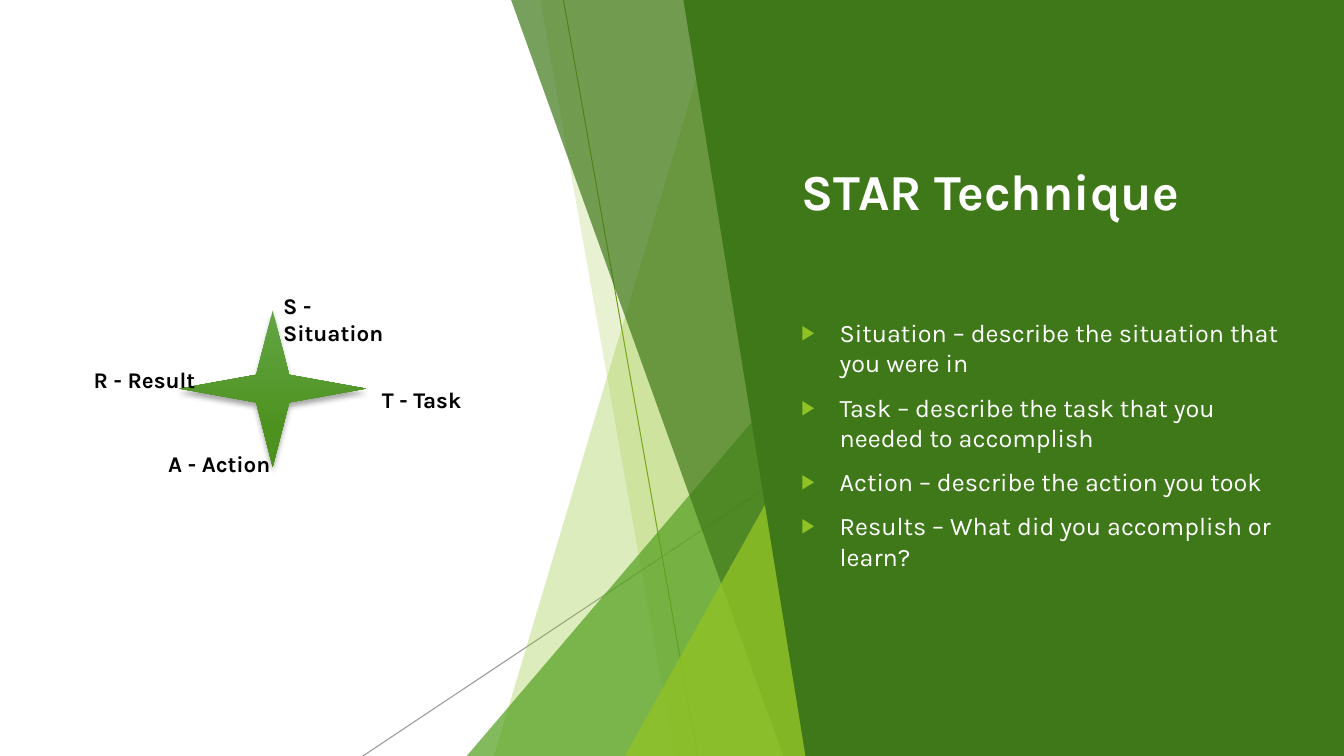
"""Build the STAR Technique slide."""
from lxml.etree import SubElement as Sub
from pptx import Presentation
from pptx.dml.color import RGBColor
from pptx.enum.shapes import MSO_CONNECTOR as Link, MSO_SHAPE as Kind
from pptx.enum.text import MSO_ANCHOR as Anchor, MSO_AUTO_SIZE as Fit, PP_ALIGN as Align
from pptx.oxml.ns import qn
from pptx.util import Inches, Pt

WIDE, HIGH = Inches(13.333), Inches(7.5)
FONT = "Karla"
WHITE, BLACK, LIME, LEAF, DARK = "FFFFFF", "000000", "90C226", "54A021", "3F7819"

TITLE = "STAR Technique"
STEPS = [
    "Situation – describe the situation that you were in",
    "Task – describe the task that you needed to accomplish",
    "Action – describe the action you took",
    "Results – What did you accomplish or learn?",
]
LABELS = [
    ("S - Situation", 20.33, 38),
    ("T - Task", 27.68, 50.4),
    ("A - Action", 11.78, 58.93),
    ("R - Result", 6.23, 47.73),
]
RAYS = [
    (41.93, 0, 51.9, 100, "6C921D", 100),
    (66.08, 53.73, 27, 100, "808080", 80),
]
EDGE = 61.43
FACETS = [
    ("band", 53.55, 36.75, EDGE, LIME, 30),
    ("band", 40.2, 50.18, EDGE, LIME, 20),
    ("peak", 34.73, 44.4, EDGE, LEAF, 72),
    ("band", 38.03, 58.28, EDGE, DARK, 70),
    ("peak", 46.5, 52.4, EDGE, LIME, 80),
    ("band", 50.85, 59.93, 100, DARK, 100),
]
STAR = (13.35, 41.07, 13.88, 20.67)
HEAD = (58.88, 8.93, 37.05, 32.53)
BODY = (58.88, 41.33, 37.05, 48.4)
LABEL = (10.13, 4.4)


def across(share):
    """Turn a percentage of the slide's width into a length."""
    return round(WIDE * share / 100)


def down(share):
    """Turn a percentage of the slide's height into a length."""
    return round(HIGH * share / 100)


def area(left, top, width, height):
    """Turn four shares into a place and a size."""
    return across(left), down(top), across(width), down(height)


def color(text):
    """Read a hex colour."""
    return RGBColor.from_string(text)


def fade(shape, alpha):
    """Make the solid colour of a shape or line see-through."""
    if alpha < 100:
        hue = next(shape.element.iter(qn("a:srgbClr")))
        Sub(hue, qn("a:alpha"), val=str(alpha * 1000))


def write(shape, lines, size=16, hue=BLACK, bold=False, before=0, after=0,
          anchor=Anchor.TOP, fit=Fit.NONE, bullet=None):
    """Fill a shape with formatted paragraphs."""
    frame = shape.text_frame
    frame.text = "\n".join(lines)
    frame.word_wrap, frame.auto_size, frame.vertical_anchor = True, fit, anchor
    for place, para in enumerate(frame.paragraphs):
        if bullet:
            props = para._p.get_or_add_pPr()
            props.set("marL", str(Inches(0.38)))
            props.set("indent", str(-Inches(0.38)))
            Sub(Sub(props, qn("a:buClr")), qn("a:srgbClr"), val=LIME)
            Sub(props, qn("a:buSzPct"), val="80000")
            Sub(props, qn("a:buChar"), char=bullet)
        para.alignment = Align.LEFT
        para.space_before = Pt(before if place else 0)
        para.space_after = Pt(after)
        font = para.font
        font.name, font.size, font.bold = FONT, Pt(size), bold
        font.color.rgb = color(hue)


def ray(shapes, left, top, right, foot, hue, alpha):
    """Draw one thin line."""
    line = shapes.add_connector(Link.STRAIGHT, across(left), down(top),
                                across(right), down(foot))
    line.line.color.rgb, line.line.width = color(hue), Pt(0.75)
    fade(line, alpha)
    Sub(line.element.spPr, qn("a:effectLst"))


def facet(shapes, kind, start, end, edge, hue, alpha):
    """Draw a slanted band or a right-angled peak up to an edge."""
    if kind == "band":
        pen = shapes.build_freeform(across(start), 0)
        pen.add_line_segments([(across(edge), 0), (across(edge), HIGH), (across(end), HIGH)])
        shape = pen.convert_to_shape()
    else:
        shape = shapes.add_shape(Kind.ISOSCELES_TRIANGLE,
                                 *area(start, end, edge - start, 100 - end))
        shape.adjustments[0] = 1
    shape.shadow.inherit = False
    shape.fill.solid()
    shape.fill.fore_color.rgb = color(hue)
    shape.line.fill.background()
    fade(shape, alpha)


def star(shapes):
    """Draw the shaded star with its soft shadow."""
    shape = shapes.add_shape(Kind.STAR_4_POINT, *area(*STAR))
    shape.fill.gradient()
    shape.fill.gradient_angle = 270
    for stop, (spot, hue) in zip(shape.fill.gradient_stops, [(0, "63A545"), (0.78, "4D921E")]):
        stop.position, stop.color.rgb = spot, color(hue)
    shape.line.fill.background()
    shape.shadow.inherit = False
    glow = Sub(shape.element.spPr.find(qn("a:effectLst")), qn("a:outerShdw"),
               blurRad=str(Pt(4)), dist=str(Pt(3)), dir="5400000", rotWithShape="0")
    Sub(Sub(glow, qn("a:srgbClr"), val=BLACK), qn("a:alpha"), val="35000")


def main():
    """Compose and save the slide."""
    deck = Presentation()
    deck.slide_width, deck.slide_height = WIDE, HIGH
    slide = deck.slides.add_slide(deck.slide_layouts[1])
    shapes = slide.shapes
    title, body = slide.placeholders
    for item in RAYS:
        ray(shapes, *item)
    for item in FACETS:
        facet(shapes, *item)
    for holder, box in ((title, HEAD), (body, BODY)):
        holder.left, holder.top, holder.width, holder.height = area(*box)
        holder.element.getparent().append(holder.element)
    write(title, [TITLE], size=36, hue=WHITE, bold=True, anchor=Anchor.MIDDLE)
    write(body, STEPS, size=18, hue=WHITE, before=10, bullet="▶")
    star(shapes)
    for text, left, top in LABELS:
        write(shapes.add_textbox(*area(left, top, *LABEL)), [text], bold=True,
              after=6, fit=Fit.SHAPE_TO_FIT_TEXT)
    deck.save("out.pptx")


if __name__ == "__main__":
    main()
